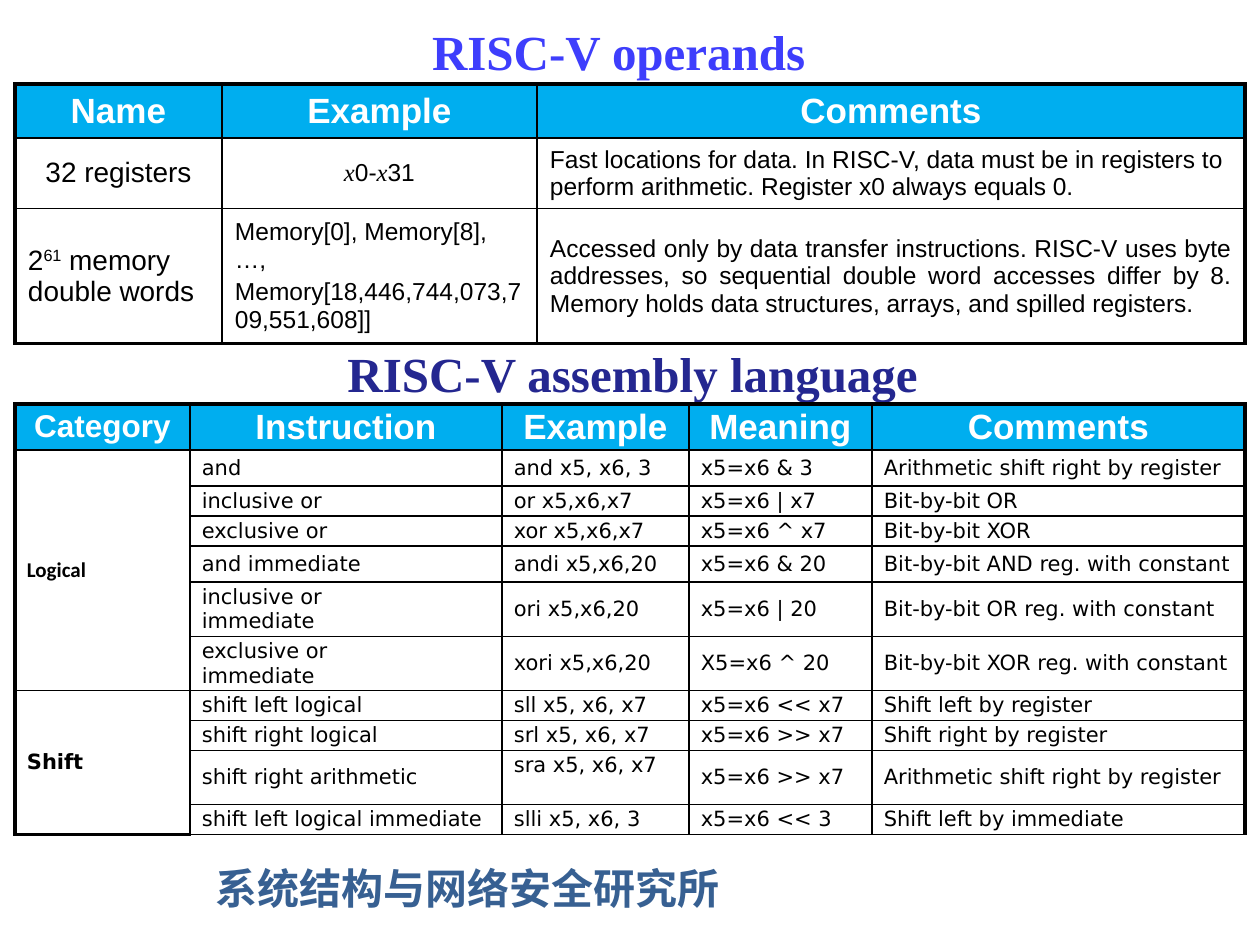
from lxml.etree import SubElement
from pptx import Presentation
from pptx.dml.color import RGBColor
from pptx.enum.text import MSO_ANCHOR, PP_ALIGN
from pptx.oxml.ns import qn
from pptx.util import Pt

PX = 914400 / 126
BLACK = RGBColor(0x00, 0x00, 0x00)
WHITE = RGBColor(0xFF, 0xFF, 0xFF)
SKY = RGBColor(0x00, 0xAE, 0xEF)
VIOLET = RGBColor(0x3E, 0x3E, 0xFC)
NAVY = RGBColor(0x24, 0x27, 0x90)
STEEL = RGBColor(0x37, 0x60, 0x92)
LEFT, CENTER, JUSTIFY = PP_ALIGN.LEFT, PP_ALIGN.CENTER, PP_ALIGN.JUSTIFY
THIN, THICK = Pt(1), Pt(2.25)


def write(frame, lines, font, size, color, bold=False, align=LEFT):
    frame.word_wrap = True
    for index, line in enumerate(lines):
        paragraph = frame.add_paragraph() if index else frame.paragraphs[0]
        for piece in [line] if isinstance(line, str) else line:
            paragraph.add_run().text = piece
        paragraph.alignment = align
        paragraph.font.name = font
        paragraph.font.size = Pt(size)
        paragraph.font.color.rgb = color
        paragraph.font.bold = bold


def finish(cell, margins, borders, fill):
    cell.vertical_anchor = MSO_ANCHOR.MIDDLE
    cell.margin_left = cell.margin_right = int(margins[0] * PX)
    cell.margin_top = cell.margin_bottom = int(margins[1] * PX)
    properties = cell._tc.get_or_add_tcPr()
    for side, width in zip("LRTB", borders):
        line = SubElement(properties, qn(f"a:ln{side}"), w=str(width))
        solid = SubElement(line, qn("a:solidFill"))
        SubElement(solid, qn("a:srgbClr"), val=str(BLACK))
    cell.fill.solid()
    cell.fill.fore_color.rgb = fill


presentation = Presentation()
presentation.slide_width = int(1260 * PX)
presentation.slide_height = int(945 * PX)
slide = presentation.slides.add_slide(presentation.slide_layouts[6])

headings = [
    ("系统结构与网络安全研究所", (203, 856, 665, 63), "Noto Sans CJK SC", 24, STEEL, LEFT),
    ("RISC-V operands", (30, 26, 1177, 49), "Times New Roman", 28, VIOLET, CENTER),
    ("RISC-V assembly language", (44, 344, 1177, 59), "Times New Roman", 28, NAVY, CENTER),
]
frames = []
for text, place, font, size, color, align in headings:
    frame = slide.shapes.add_textbox(*(int(v * PX) for v in place)).text_frame
    write(frame, [text], font, size, color, True, align)
    frames.append(frame)
institute, operands_title, assembly_title = frames
operands_title.vertical_anchor = MSO_ANCHOR.MIDDLE
assembly_title.paragraphs[0].line_spacing = 0.9
institute_font = institute.paragraphs[0]._p.get_or_add_pPr().get_or_add_defRPr()
SubElement(institute_font, qn("a:ea"), typeface="Noto Sans CJK SC")

operands_rows = [
    [["Name"], ["Example"], ["Comments"]],
    [["32 registers"], [("x", "0-", "x", "31")],
     ["Fast locations for data. In RISC-V, data must be in registers to perform "
      "arithmetic. Register x0 always equals 0."]],
    [[("2", "61", " memory double words")],
     ["Memory[0], Memory[8], …,", "Memory[18,446,744,073,709,551,608]]"],
     ["Accessed only by data transfer instructions. RISC-V uses byte addresses, so "
      "sequential double word accesses differ by 8. Memory holds data structures, "
      "arrays, and spilled registers."]],
]
operands_aligns = [[CENTER] * 3, [CENTER, CENTER, LEFT], [LEFT, LEFT, JUSTIFY]]

assembly_rows = [
    ["Category", "Instruction", "Example", "Meaning", "Comments"],
    ["Logical", "and", "and x5, x6, 3", "x5=x6 & 3", "Arithmetic shift right by register"],
    ["", "inclusive or", "or x5,x6,x7", "x5=x6 | x7", "Bit-by-bit OR"],
    ["", "exclusive or", "xor x5,x6,x7", "x5=x6 ^ x7", "Bit-by-bit XOR"],
    ["", "and immediate", "andi x5,x6,20", "x5=x6 & 20", "Bit-by-bit AND reg. with constant"],
    ["", "inclusive or\nimmediate", "ori x5,x6,20", "x5=x6 | 20",
     "Bit-by-bit OR reg. with constant"],
    ["", "exclusive or\nimmediate", "xori x5,x6,20", "X5=x6 ^ 20",
     "Bit-by-bit XOR reg. with constant"],
    ["Shift", "shift left logical", "sll x5, x6, x7", "x5=x6 << x7", "Shift left by register"],
    ["", "shift right logical", "srl x5, x6, x7", "x5=x6 >> x7", "Shift right by register"],
    ["", "shift right arithmetic", "sra x5, x6, x7", "x5=x6 >> x7",
     "Arithmetic shift right by register"],
    ["", "shift left logical immediate", "slli x5, x6, 3", "x5=x6 << 3",
     "Shift left by immediate"],
]

grids = []
for top, widths, heights in [
    (84, [207, 315, 708], [51, 68, 127]),
    (404, [175, 312, 187, 183, 373], [44, 36, 30, 30, 36, 54, 54, 30, 30, 54, 30]),
]:
    grid = slide.shapes.add_table(
        len(heights), len(widths), int(15 * PX), int(top * PX),
        int(sum(widths) * PX), int(sum(heights) * PX)).table
    grid.first_row = grid.horz_banding = False
    for column, width in zip(grid.columns, widths):
        column.width = int(width * PX)
    for row, height in zip(grid.rows, heights):
        row.height = int(height * PX)
    grids.append(grid)
operands, assembly = grids

for r, row in enumerate(operands_rows):
    for c, lines in enumerate(row):
        cell = operands.cell(r, c)
        size = 20 if r == 0 else 16 if c == 0 else 14
        write(cell.text_frame, lines, "Arial", size, BLACK if r else WHITE,
              r == 0, operands_aligns[r][c])
        borders = [THICK if outer else THIN for outer in (c == 0, c == 2, r == 0, r == 2)]
        finish(cell, (13, 6), borders, WHITE if r else SKY)

for register in operands.cell(1, 1).text_frame.paragraphs[0].runs[::2]:
    register.font.name = "Times New Roman"
    register.font.italic = True
exponent = operands.cell(2, 0).text_frame.paragraphs[0].runs[1]
exponent._r.get_or_add_rPr().set("baseline", "30000")
operands.cell(2, 1).text_frame.paragraphs[1].space_before = Pt(2.8)

for r, row in enumerate(assembly_rows):
    for c, text in enumerate(row):
        cell = assembly.cell(r, c)
        if text:
            font = "Arial" if r == 0 else "Calibri" if text == "Logical" else "DejaVu Sans"
            size = 12 if r else 20 if c else 18
            write(cell.text_frame, text.split("\n"), font, size, BLACK if r else WHITE,
                  r == 0 or c == 0, LEFT if r else CENTER)
        borders = [THICK if outer else THIN
                   for outer in (c == 0, c == 4, r == 0, c == 0 and r >= 7)]
        finish(cell, (12, 2), borders, WHITE if r else SKY)

assembly.cell(9, 2).vertical_anchor = MSO_ANCHOR.TOP
for first, last in [(1, 6), (7, 10)]:
    assembly.cell(first, 0).merge(assembly.cell(last, 0))

presentation.save("out.pptx")
